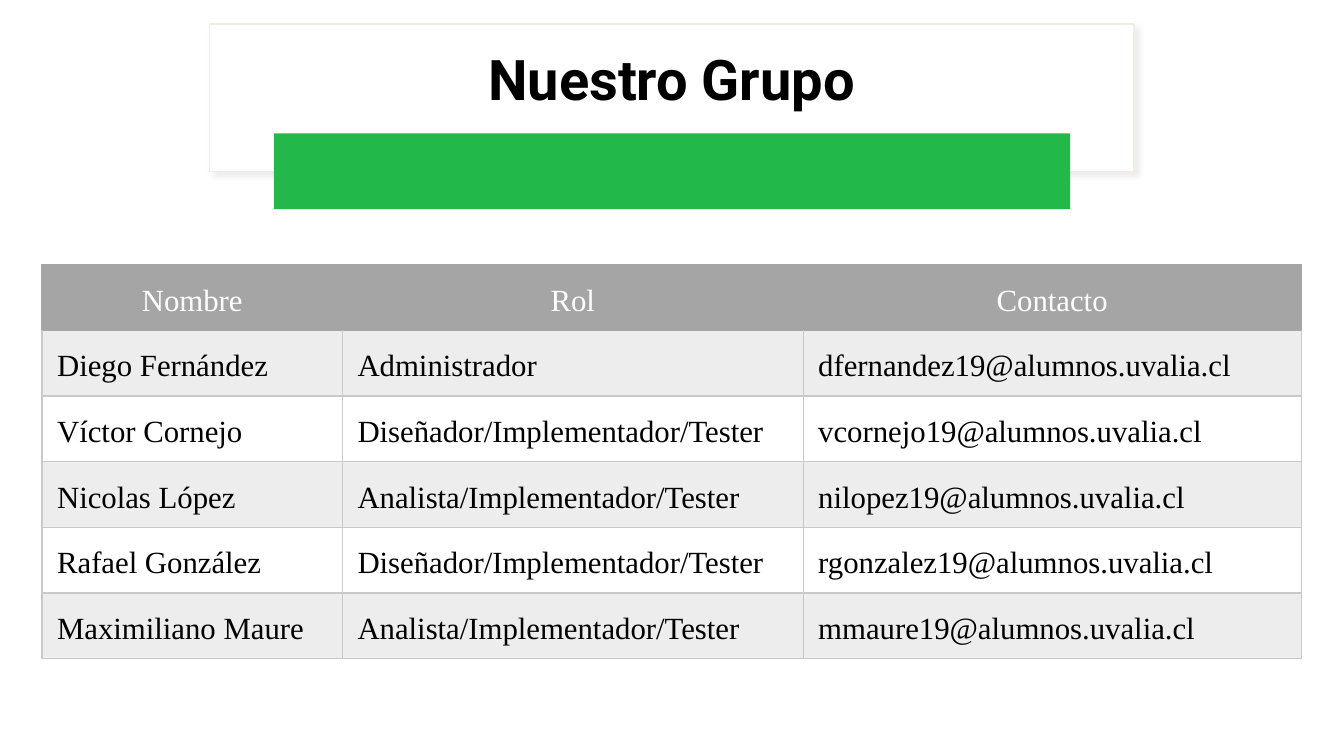
import pptx
import pptx.dml.color
import pptx.enum.shapes
import pptx.enum.text
import pptx.oxml
import pptx.oxml.ns
import pptx.util
from lxml import etree
from pptx.dml.color import RGBColor
from pptx.enum.shapes import MSO_SHAPE
from pptx.enum.text import MSO_ANCHOR, PP_ALIGN
from pptx.util import Cm

WHITE = RGBColor(0xFF, 0xFF, 0xFF)
BLACK = RGBColor(0x00, 0x00, 0x00)
GREEN = RGBColor(0x22, 0xB9, 0x4A)
CREAM = RGBColor(0xF0, 0xEE, 0xE4)
SHADOW = RGBColor(0xCA, 0xBC, 0xC5)
HEADER_GRAY = RGBColor(0xA5, 0xA5, 0xA5)
BAND_GRAY = RGBColor(0xED, 0xED, 0xED)
BORDER_GRAY = RGBColor(0xC9, 0xC9, 0xC9)

HEADINGS = ("Nombre", "Rol", "Contacto")
DESIGNER = "Diseñador/Implementador/Tester"
ANALYST = "Analista/Implementador/Tester"
MEMBERS = [
    ("Diego Fernández", "Administrador", "dfernandez19"),
    ("Víctor Cornejo", DESIGNER, "vcornejo19"),
    ("Nicolas López", ANALYST, "nilopez19"),
    ("Rafael González", DESIGNER, "rgonzalez19"),
    ("Maximiliano Maure", ANALYST, "mmaure19"),
]
MAIL_DOMAIN = "@alumnos.uvalia.cl"
COLUMN_WIDTHS = (7.57, 11.61, 12.55)
TABLE_HEIGHT = 9.93


def add_box(slide, kind, left, top, width, height, fill, line=None):
    shape = slide.shapes.add_shape(kind, Cm(left), Cm(top), Cm(width), Cm(height))
    shape.shadow.inherit = False
    shape.fill.solid()
    shape.fill.fore_color.rgb = fill
    if line is None:
        shape.line.fill.background()
    else:
        shape.line.color.rgb = line
        shape.line.width = pptx.util.Pt(1)
    return shape


def add_soft_shadow(shape, color):
    effects = shape._element.spPr.find(pptx.oxml.ns.qn("a:effectLst"))
    effects.append(pptx.oxml.parse_xml(
        f'<a:outerShdw {pptx.oxml.ns.nsdecls("a")} blurRad="50800" dist="38100" '
        f'dir="2700000" algn="tl" rotWithShape="0"><a:srgbClr val="{color}">'
        '<a:alpha val="30000"/></a:srgbClr></a:outerShdw>'))


def format_paragraph(paragraph, font_name, size, color, alignment, spacing, bold=False):
    paragraph.alignment = alignment
    paragraph.line_spacing = spacing
    for run in paragraph.runs:
        run.font.name = font_name
        run.font.size = pptx.util.Pt(size)
        run.font.color.rgb = color
        run.font.bold = bold


def add_title(slide, text):
    shape = slide.shapes.add_textbox(Cm(5.84), Cm(0.86), Cm(22.17), Cm(2.41))
    frame = shape.text_frame
    frame.word_wrap = True
    frame.vertical_anchor = MSO_ANCHOR.MIDDLE
    frame.text = text
    format_paragraph(frame.paragraphs[0], "Roboto", 40, BLACK, PP_ALIGN.CENTER, 0.9, True)


def set_borders(cell, colors):
    properties = cell._tc.get_or_add_tcPr()
    for index, (side, color) in enumerate(colors.items()):
        properties.insert(index, pptx.oxml.parse_xml(
            f'<a:ln{side} {pptx.oxml.ns.nsdecls("a")} w="12700"><a:solidFill>'
            f'<a:srgbClr val="{color}"/></a:solidFill></a:ln{side}>'))


def fill_cell(cell, text, row):
    is_header = row == 0
    cell.margin_left = cell.margin_right = Cm(0.38)
    cell.margin_top = Cm(0.05)
    cell.margin_bottom = 0
    cell.text_frame.text = text
    format_paragraph(cell.text_frame.paragraphs[0], "Times New Roman", 22,
                     WHITE if is_header else BLACK,
                     PP_ALIGN.CENTER if is_header else PP_ALIGN.JUSTIFY, 1.5)
    cell.fill.solid()
    cell.fill.fore_color.rgb = HEADER_GRAY if is_header else (BAND_GRAY if row % 2 else WHITE)
    border = HEADER_GRAY if is_header else BORDER_GRAY
    top = HEADER_GRAY if row <= 1 else BORDER_GRAY
    set_borders(cell, {"L": border, "R": border, "T": top, "B": HEADER_GRAY if is_header else border})


def add_member_table(slide):
    rows = [HEADINGS] + [(name, role, user + MAIL_DOMAIN) for name, role, user in MEMBERS]
    table = slide.shapes.add_table(len(rows), len(HEADINGS), Cm(1.06), Cm(6.67),
                                   Cm(sum(COLUMN_WIDTHS)), Cm(TABLE_HEIGHT)).table
    for column, width in zip(table.columns, COLUMN_WIDTHS):
        column.width = Cm(width)
    for row, texts in enumerate(rows):
        table.rows[row].height = Cm(TABLE_HEIGHT / len(rows))
        for column, text in enumerate(texts):
            fill_cell(table.cell(row, column), text, row)


def main():
    presentation = pptx.Presentation()
    presentation.slide_width = Cm(33.87)
    presentation.slide_height = Cm(19.05)
    slide = presentation.slides.add_slide(presentation.slide_layouts[6])

    # White background
    add_box(slide, MSO_SHAPE.RECTANGLE, 0, 0, 33.87, 19.05, WHITE)

    # Title card with green bar
    card = add_box(slide, MSO_SHAPE.RECTANGLE, 5.28, 0.61, 23.3, 3.71, WHITE, CREAM)
    add_soft_shadow(card, SHADOW)
    add_title(slide, "Nuestro Grupo")
    bar = add_box(slide, MSO_SHAPE.ROUNDED_RECTANGLE, 6.9, 3.36, 20.07, 1.91, GREEN)
    bar.adjustments[0] = 0

    # Group members
    add_member_table(slide)

    presentation.save("out.pptx")


if __name__ == "__main__":
    main()
